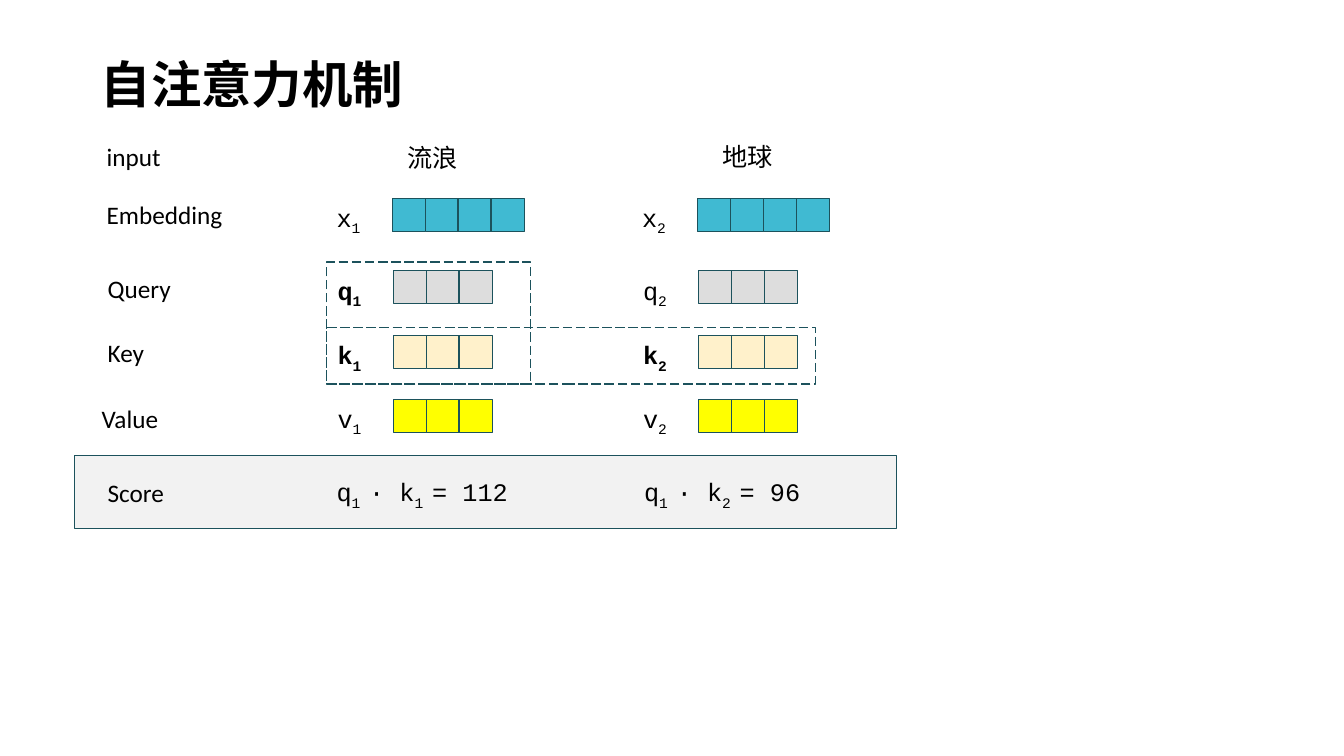
"""Build the self-attention slide with vectors and scores for two words."""
from pptx import Presentation
from pptx.dml.color import RGBColor
from pptx.enum.dml import MSO_LINE
from pptx.enum.shapes import MSO_SHAPE
from pptx.enum.text import MSO_ANCHOR
from pptx.util import Inches, Pt

deck = Presentation()
deck.slide_width = Inches(13.33)
deck.slide_height = Inches(7.5)
slide = deck.slides.add_slide(deck.slide_layouts[6])


def box(x, y, w, h, fill=None):
    rect = slide.shapes.add_shape(
        MSO_SHAPE.RECTANGLE, Inches(x), Inches(y), Inches(w), Inches(h))
    rect.shadow.inherit = False
    if fill:
        rect.fill.solid()
        rect.fill.fore_color.rgb = RGBColor.from_string(fill)
    else:
        rect.fill.background()
    rect.line.color.rgb = RGBColor.from_string("1C525C")
    rect.line.width = Pt(0.85)
    return rect


def write(x, y, w, h, parts, **style):
    frame = slide.shapes.add_textbox(
        Inches(x), Inches(y), Inches(w), Inches(h)).text_frame
    frame.word_wrap = True
    look = {"name": "Calibri", "size": Pt(18), "bold": False} | style
    for i, part in enumerate(parts):
        run = frame.paragraphs[0].add_run()
        run.text = part
        for key, value in look.items():
            setattr(run.font, key, value)
        run.font.color.rgb = RGBColor.from_string("000000")
        if i % 2:
            run.font._element.set("baseline", "-25000")
    return frame


box(0.74, 4.52, 8.15, 0.72, "F2F2F2")

title = write(0.9, 0.5, 10.95, 0.72, ["自注意力机制"], size=Pt(36), bold=True)
title.vertical_anchor = MSO_ANCHOR.MIDDLE
title.paragraphs[0].line_spacing = 0.9

labels = [
    ("input", 0.96, 1.35), ("Embedding", 0.96, 1.93), ("Query", 0.97, 2.66),
    ("Key", 0.97, 3.3), ("Value", 0.91, 3.95), ("Score", 0.97, 4.69),
]
for label, x, y in labels:
    write(x, y, 1.73, 0.4, [label])

for word, x, y in [("流浪", 3.94, 1.36), ("地球", 7.07, 1.35)]:
    write(x, y, 0.83, 0.4, [word])

cell = 0.33
step = 0.98 / 3
shift = 3.03
rows = [
    ("x", 3.24, 1.96, 1.97, 4, "40BAD2", ""),
    ("q", 3.25, 2.68, 2.68, 3, "DDDDDD", "1"),
    ("k", 3.25, 3.32, 3.33, 3, "FFF1CB", "12"),
    ("v", 3.25, 3.95, 3.96, 3, "FFFF00", ""),
]
for name, left, top, edge, count, fill, strong in rows:
    for i, index in enumerate("12"):
        x = left + i * shift
        write(x, top, 0.65, 0.4, [name, index],
              name="Courier New", bold=index in strong)
        for j in range(count):
            box(x + 0.65 + j * step, edge, cell, cell, fill)

for x, index, score in [(3.24, "1 ", "= 112"), (6.29, "2 ", "= 96")]:
    write(x, 4.68, 2.27, 0.4, ["q", "1 ", "· k", index, score],
          name="Courier New")

for y, w, h in [(2.6, 2.02, 1.21), (3.25, 4.85, 0.56)]:
    box(3.24, y, w, h).line.dash_style = MSO_LINE.LONG_DASH

deck.save("out.pptx")
